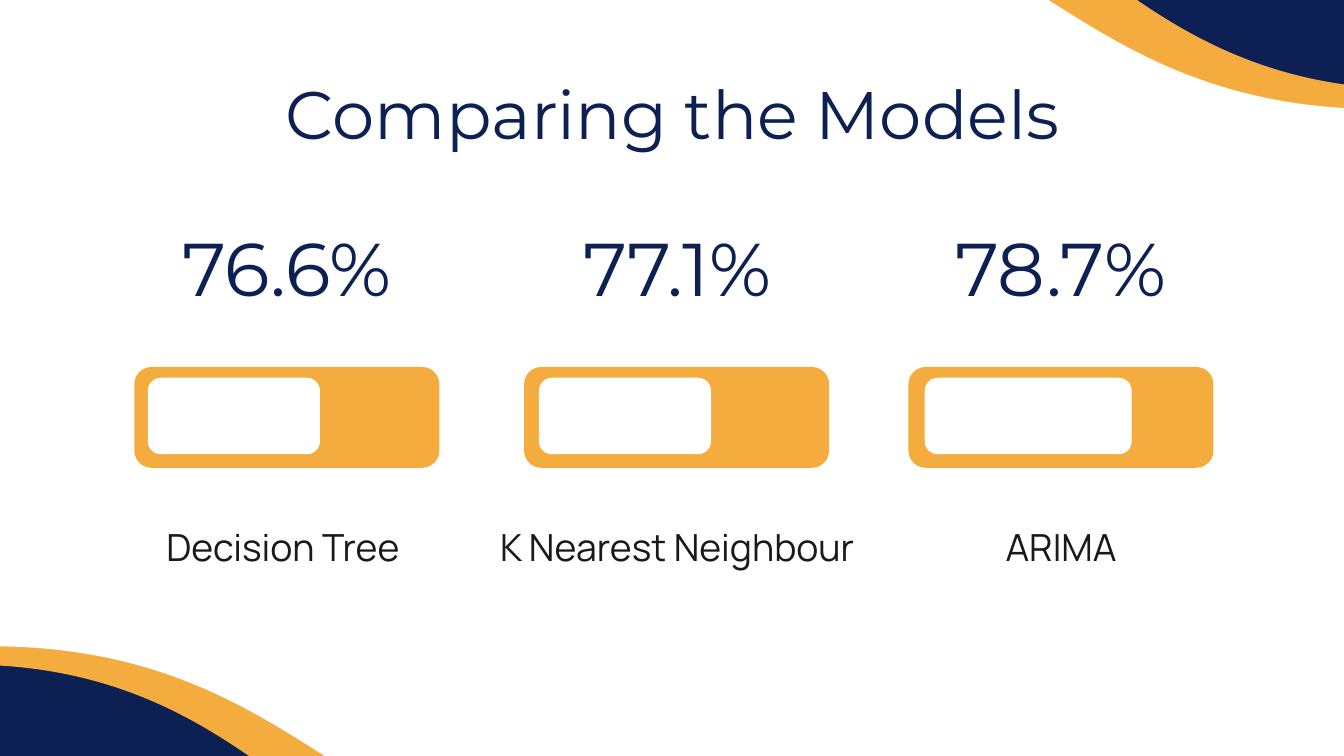
from collections import namedtuple

from pptx import Presentation
from pptx.dml.color import RGBColor
from pptx.enum.shapes import MSO_SHAPE as Shape
from pptx.enum.text import MSO_ANCHOR as Anchor, MSO_AUTO_SIZE as AutoSize, PP_ALIGN as Align
from pptx.util import Pt

NAVY = RGBColor(0x0C, 0x20, 0x54)
ORANGE = RGBColor(0xF3, 0xAC, 0x3D)
WHITE = RGBColor(0xFF, 0xFF, 0xFF)
INK = RGBColor(0x19, 0x19, 0x19)

Box = namedtuple("Box", "left top width height")
Model = namedtuple("Model", "name score value_shift track_shift bar_shift bar_width")


def add_filled(page, kind, box, color):
    """Add a preset shape with a plain fill and no outline."""
    shape = page.shapes.add_shape(kind, *map(Pt, box))
    shape.shadow.inherit = False
    shape.fill.solid()
    shape.fill.fore_color.rgb = color
    shape.line.fill.background()
    return shape


def add_rounded(page, box, color):
    """Add a rounded bar."""
    shape = add_filled(page, Shape.ROUNDED_RECTANGLE, box, color)
    shape.adjustments[0] = 0.17


def write_text(holder, text, font_name, size, color):
    """Write one centred line into a text box or placeholder."""
    frame = holder.text_frame
    frame.text = text
    frame.word_wrap = True
    frame.auto_size = AutoSize.NONE
    frame.vertical_anchor = Anchor.MIDDLE
    frame.margin_left = frame.margin_right = Pt(7.2)
    frame.margin_top = frame.margin_bottom = Pt(7.2)
    para = frame.paragraphs[0]
    para.alignment = Align.CENTER
    font = para.runs[0].font
    font.name, font.size, font.color.rgb = font_name, Pt(size), color


def add_text(page, box, *style):
    """Add a text box with one centred line."""
    write_text(page.shapes.add_textbox(*map(Pt, box)), *style)


def add_waves(page, box, color, left_offset, right_offset):
    """Add a wavy sheet and its half-turned twin, shifted from the box."""
    for (across, down), turn in ((left_offset, 0), (right_offset, 180)):
        place = box._replace(left=box.left + across, top=box.top + down)
        wave = add_filled(page, Shape.FLOWCHART_DOCUMENT, place, color)
        wave.rotation = turn
        wave._element.spPr.find(
            "{http://schemas.openxmlformats.org/drawingml/2006/main}xfrm"
        ).set("flipH", "1")


def add_title(page, box, text):
    """Place the title in front of the waves."""
    title = page.shapes.title
    title._element.getparent().append(title._element)
    title.left, title.top, title.width, title.height = map(Pt, box)
    write_text(title, text, "Montserrat", 36, NAVY)


def add_model(page, box, model):
    """Add one column with score, progress bar and model name."""
    left, top, width, height = box
    add_text(page, Box(left + model.value_shift, top, width, 41),
             model.score, "Montserrat", 40, NAVY)
    add_rounded(page, Box(left + model.track_shift, top + 74.2, 163.4, 54), ORANGE)
    add_rounded(page, Box(left + model.bar_shift, top + 80, model.bar_width, 41), WHITE)
    add_text(page, Box(left, top + height - 46.8, width, 46.8),
             model.name, "Manrope", 20, INK)


def main():
    """Build and save the slide."""
    deck = Presentation()
    deck.slide_width, deck.slide_height = Pt(720), Pt(405)
    page = deck.slides.add_slide(deck.slide_layouts[5])
    page.background.fill.solid()
    page.background.fill.fore_color.rgb = NAVY

    add_waves(page, Box(0, 0, 403.2, 659.5), ORANGE, (-17.3, -172.8), (355, -82.8))
    add_waves(page, Box(0, 0, 403.2, 556.6), WHITE, (-5, -100.1), (337, -51.8))
    add_title(page, Box(57.6, 41.8, 605.5, 36.7), "Comparing the Models")

    columns = (
        (57.6, 188, Model("Decision Tree", "76.6%", 2.2, 14.4, 21.6, 92.2)),
        (252.7, 220.3, Model("K Nearest Neighbour", "77.1%", 0, 28.1, 36, 92.2)),
        (474.5, 188, Model("ARIMA", "78.7%", 0, 12.2, 20.9, 110.9)),
    )
    for left, width, model in columns:
        add_model(page, Box(left, 122.4, width, 193.7), model)

    deck.save("out.pptx")


if __name__ == "__main__":
    main()
